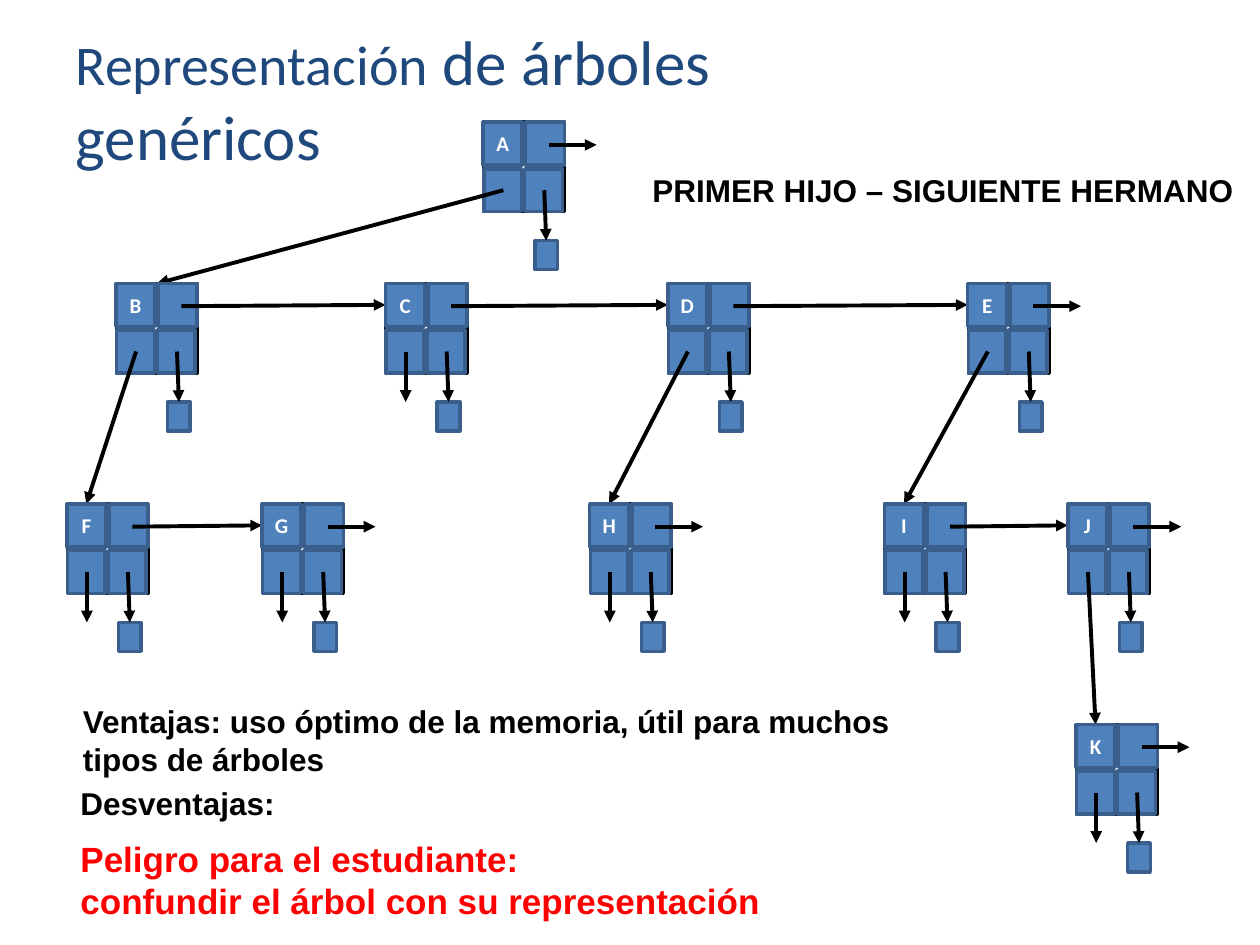
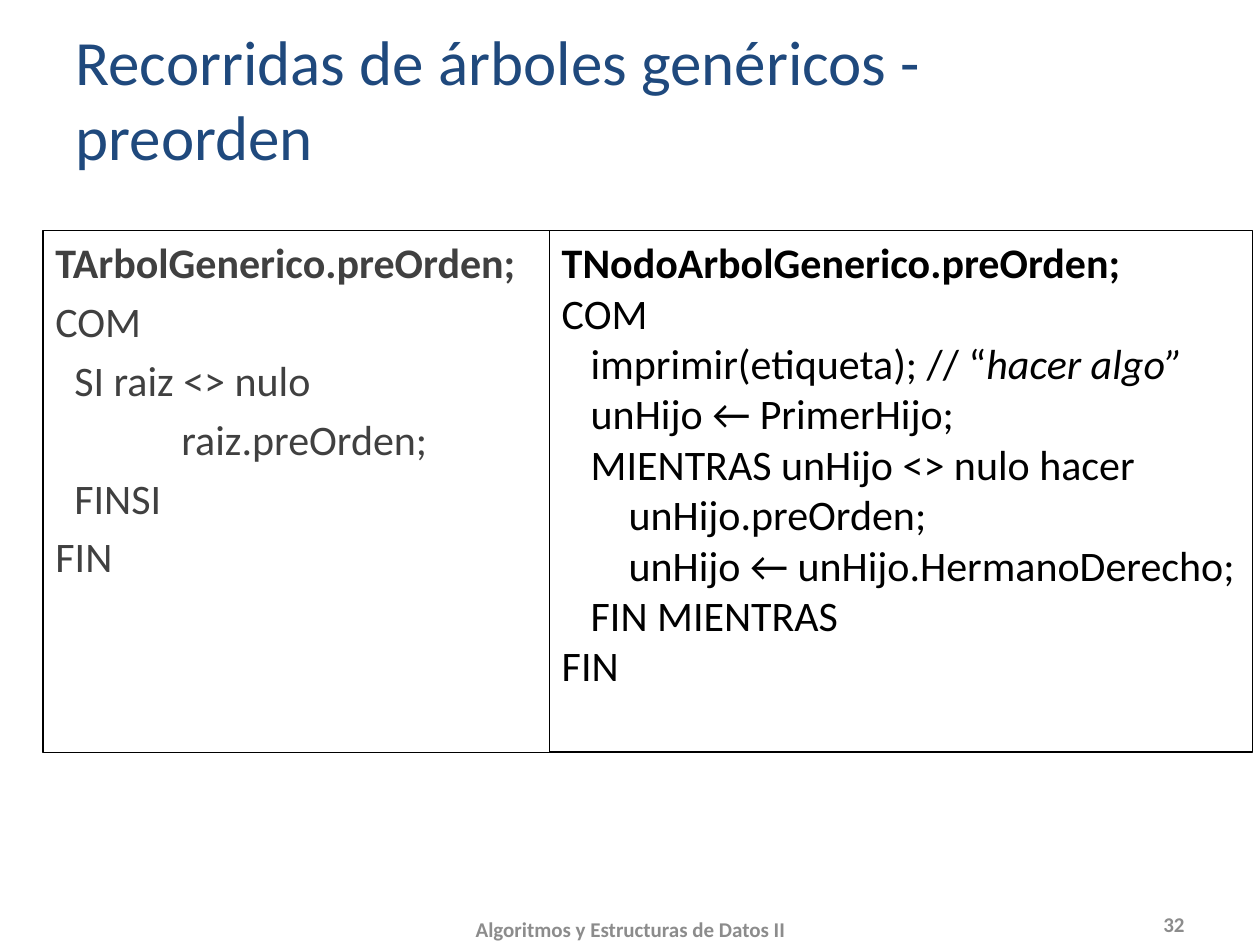
import pptx
import pptx.util
import pptx.dml.color
import pptx.enum.shapes
import pptx.enum.text
import pptx.oxml.ns
import lxml.etree

Pt = pptx.util.Pt
RGB = pptx.dml.color.RGBColor
FORM = pptx.enum.shapes.MSO_SHAPE
LINE = pptx.enum.shapes.MSO_CONNECTOR
ALIGN = pptx.enum.text.PP_ALIGN
ANCHOR = pptx.enum.text.MSO_ANCHOR
FIT = pptx.enum.text.MSO_AUTO_SIZE

NAVY = RGB(0x1F, 0x49, 0x7D)
BLUE = RGB(0x4F, 0x81, 0xBD)
EDGE = RGB(0x3A, 0x5F, 0x8C)
DARK = RGB(0x40, 0x40, 0x40)
GRAY = RGB(0x8C, 0x8C, 0x8C)
BLACK = RGB(0, 0, 0)
WHITE = RGB(0xFF, 0xFF, 0xFF)
RED = RGB(0xFF, 0, 0)

WIDE, HIGH = pptx.util.Inches(10), pptx.util.Inches(7.5)
COL, ROW = WIDE // 100, HIGH // 75

HEAD = {"name": "Calibri", "size": Pt(36), "bold": False, "color": NAVY}
LABEL = {"name": "Calibri", "size": Pt(12), "bold": True, "color": WHITE}
NOTE = {"name": "Arial", "size": Pt(18), "bold": True, "color": BLACK}
ALERT = {**NOTE, "size": Pt(20), "color": RED}
CODE = {"name": "Calibri", "size": Pt(24), "bold": False, "color": BLACK}
FOOT = {**LABEL, "color": GRAY}
BOLD, SLANT, SMALL = {"bold": True}, {"italic": True}, {"size": Pt(32)}

FIXED = {"word_wrap": True, "auto_size": FIT.NONE}
MIDDLE = {**FIXED, "vertical_anchor": ANCHOR.MIDDLE}
LOOSE = {"word_wrap": False, "auto_size": FIT.SHAPE_TO_FIT_TEXT}
TIGHT = {**MIDDLE, "margin_left": 0, "margin_right": 0, "margin_top": 0, "margin_bottom": 0}

LEVELS = [9.7] + [22.5 + 17.5 * step for step in range(3)]
NODES = {
    "A": (38.35, 0, "B", None),
    "B": (9.2, 1, "F", "C"),
    "C": (30.6, 1, None, "D"),
    "D": (53, 1, "H", "E"),
    "E": (76.8, 1, "I", None),
    "F": (5.3, 2, None, "G"),
    "G": (20.8, 2, None, None),
    "H": (46.8, 2, None, None),
    "I": (70.2, 2, None, "J"),
    "J": (84.75, 2, "K", None),
    "K": (85.4, 3, None, None),
}
CELLS = {
    "label": (0, 0, 3.1, 3.4),
    "next": (3.35, 0, 3.1, 3.4),
    "child": (0.05, 3.7, 3, 3.4),
    "data": (3.3, 3.7, 3, 3.4),
    "box": (4.1, 9.4, 1.8, 2.3),
}
TREE = [
    (0, [("TArbolGenerico.preOrden;", BOLD)]),
    (0, [("COM", {})]),
    (1.5, [("SI raiz <> nulo", {})]),
    (10, [("raiz.preOrden;", {})]),
    (1.5, [("FINSI", {})]),
    (0, [("FIN", {})]),
]
WALK = [
    (0, [("TNodoArbolGenerico.preOrden;", BOLD)]),
    (0, [("COM", {})]),
    (2.3, [("imprimir(etiqueta); // “", {}), ("hacer algo”", SLANT)]),
    (2.3, [("unHijo ← PrimerHijo;", {})]),
    (2.3, [("MIENTRAS unHijo <> nulo hacer", {})]),
    (5.3, [("unHijo.preOrden;", {})]),
    (5.3, [("unHijo ← unHijo.HermanoDerecho;", {})]),
    (2.3, [("FIN MIENTRAS", {})]),
    (0, [("FIN", {})]),
]


def spot(x, y):
    return round(x * COL), round(y * ROW)


def area(x, y, w, h):
    return spot(x, y) + spot(w, h)


def apply(item, format):
    for key, value in format.items():
        if key == "color":
            item.color.rgb = value
        else:
            setattr(item, key, value)


def plain(*lines):
    return [(0, [(line, {})]) for line in lines]


def write(shape, lines, font, frame=FIXED, align=ALIGN.LEFT):
    text = shape.text_frame
    apply(text, frame)
    for index, (inset, runs) in enumerate(lines):
        para = text.paragraphs[0] if index == 0 else text.add_paragraph()
        para.alignment = align
        props = para._p.get_or_add_pPr()
        props.set("marL", str(round(inset * COL)))
        props.set("indent", "0")
        lxml.etree.SubElement(props, pptx.oxml.ns.qn("a:buNone"))
        for words, change in runs:
            run = para.add_run()
            run.text = words
            apply(run.font, {**font, **change})


def place(shape, bounds):
    names = ("left", "top", "width", "height")
    apply(shape, dict(zip(names, area(*bounds))))


def title(slide, runs):
    place(slide.shapes.title, (5, 0, 71, 15.5))
    write(slide.shapes.title, [(0, runs)], HEAD, MIDDLE)


def note(slide, bounds, lines, font=NOTE, frame=LOOSE, align=ALIGN.LEFT):
    shape = slide.shapes.add_textbox(*area(*bounds))
    write(shape, lines, font, frame, align)
    return shape


def outline(shape, color, width):
    shape.line.color.rgb = color
    shape.line.width = Pt(width)


def block(group, bounds, fill=BLUE, edge=EDGE):
    shape = group.shapes.add_shape(FORM.RECTANGLE, *area(*bounds))
    shape.shadow.inherit = False
    shape.fill.solid()
    shape.fill.fore_color.rgb = fill
    outline(shape, edge, 2)
    return shape


def arrow(group, start, end, goal=None, side=0):
    link = group.shapes.add_connector(LINE.STRAIGHT, *spot(*start), *spot(*end))
    outline(link, BLACK, 2.25)
    tail = lxml.etree.SubElement(link.line._get_or_add_ln(), pptx.oxml.ns.qn("a:tailEnd"))
    tail.set("type", "triangle")
    lxml.etree.SubElement(link._element.spPr, pptx.oxml.ns.qn("a:effectLst"))
    if goal is not None:
        link.end_connect(goal, side)


def node(slide, name):
    x, level = NODES[name][:2]
    y = LEVELS[level]
    group = slide.shapes.add_group_shape()
    parts = {"group": group, "frame": block(group, (x + 0.05, y, 6.4, 7.1), WHITE, BLACK)}
    for part, (dx, dy, w, h) in CELLS.items():
        parts[part] = block(group, (x + dx, y + dy, w, h))
    write(parts["label"], plain(name), LABEL, TIGHT, ALIGN.CENTER)
    return parts


def join(name, drawn):
    x, level, child, peer = NODES[name]
    y = LEVELS[level]
    group = drawn[name]["group"]
    top = "frame" if level == 0 else "label"
    son = drawn[child][top] if child else None
    kin = drawn[peer]["label"] if peer else None
    arrow(group, (x + 5.2, y + 1.8), (x + 9, y + 1.8), kin, 1)
    arrow(group, (x + 1.6, y + 5.4), (x + 1.6, y + 9.4), son)
    arrow(group, (x + 4.85, y + 5.4), (x + 5, y + 9.4), drawn[name]["box"])


def graph(deck):
    slide = deck.slides.add_slide(deck.slide_layouts[5])
    title(slide, [("Representación", SMALL), (" de árboles genéricos", {})])
    drawn = {name: node(slide, name) for name in NODES}
    for name in NODES:
        join(name, drawn)
    note(slide, (50.8, 13.1, 48.6, 4), plain("PRIMER HIJO – SIGUIENTE HERMANO"))
    note(slide, (5.6, 55.2, 67.4, 7.1),
         plain("Ventajas: uso óptimo de la memoria, útil para muchos", "tipos de árboles"))
    note(slide, (5.4, 61.7, 18.3, 4), plain("Desventajas:"))
    note(slide, (5.4, 66, 56.4, 7.7),
         plain("Peligro para el estudiante:", "confundir el árbol con su representación"), ALERT)


def code(deck):
    slide = deck.slides.add_slide(deck.slide_layouts[1])
    title(slide, [("Recorridas de árboles genéricos - preorden", {})])
    body = slide.placeholders[1]
    place(body, (3.4, 18.3, 40.2, 41.4))
    write(body, TREE, {**CODE, "color": DARK})
    walk = note(slide, (43.6, 18.3, 55.8, 41.4), WALK, CODE, FIXED)
    for panel in (body, walk):
        outline(panel, BLACK, 0.75)
    note(slide, (34.2, 72.5, 31.7, 2.5), plain("Algoritmos y Estructuras de Datos II"),
         FOOT, MIDDLE, ALIGN.CENTER)
    note(slide, (71.7, 71.7, 23.3, 3.3), plain("32"), FOOT, MIDDLE, ALIGN.RIGHT)


def main():
    deck = pptx.Presentation()
    deck.slide_width, deck.slide_height = WIDE, HIGH
    graph(deck)
    code(deck)
    deck.save("out.pptx")


if __name__ == "__main__":
    main()
